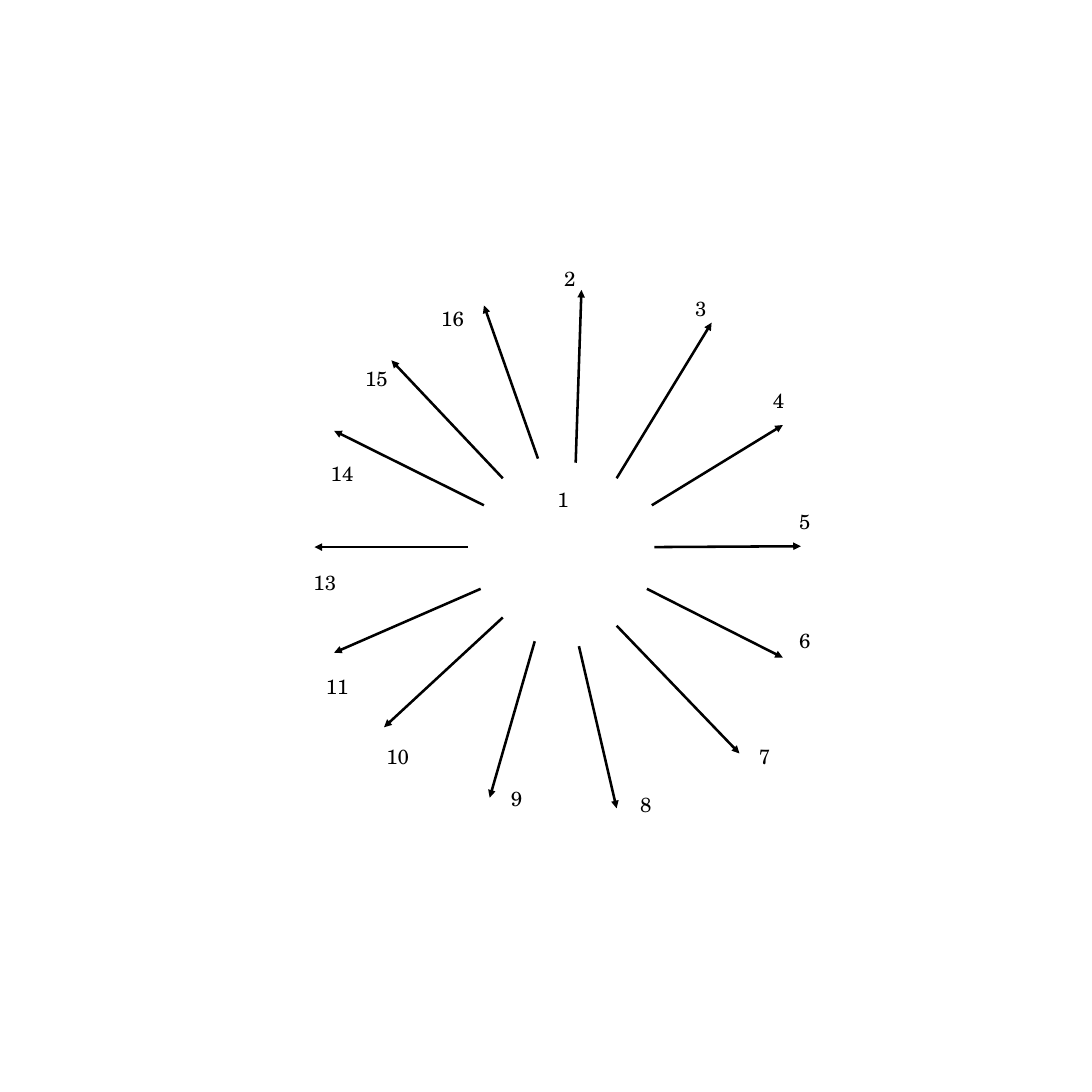
"""Build a slide of fifteen numbers around a ring of outward arrows."""
from lxml import etree
from pptx import Presentation
from pptx import util as u
from pptx.dml.color import RGBColor
from pptx.enum import shapes, text
from pptx.oxml.ns import qn

PX = u.Inches(1) // 100
SLIDE_WIDTH, SLIDE_HEIGHT = u.Emu(12193588), u.Emu(12192000)
COLOURS = {"ink": "000000", "paper": "FFFFFF"}
FONT = "TeX Gyre Schola"
LABEL_WIDTH, LABEL_HEIGHT = 117, 40

ARROWS = [
    (703, 565, 710, 354),
    (753, 584, 869, 394),
    (796, 617, 956, 519),
    (799, 668, 978, 667),
    (790, 719, 956, 803),
    (753, 764, 903, 920),
    (707, 789, 753, 987),
    (653, 783, 598, 974),
    (614, 754, 469, 888),
    (587, 719, 408, 797),
    (571, 668, 384, 668),
    (591, 617, 408, 526),
    (614, 584, 478, 440),
    (657, 560, 591, 373),
]
LABELS = {
    "2": (679, 320),
    "3": (839, 357),
    "4": (934, 469),
    "5": (966, 617),
    "6": (966, 762),
    "7": (917, 903),
    "8": (772, 962),
    "9": (614, 955),
    "10": (462, 903),
    "11": (388, 818),
    "13": (373, 691),
    "14": (394, 558),
    "15": (436, 442),
    "16": (529, 369),
    "1": (671, 590),
}

deck = Presentation()
deck.slide_width, deck.slide_height = SLIDE_WIDTH, SLIDE_HEIGHT
page = deck.slides.add_slide(deck.slide_layouts[6])
page.background.fill.solid()
page.background.fill.fore_color.rgb = RGBColor.from_string(COLOURS["paper"])

for ends in ARROWS:
    arrow = page.shapes.add_connector(
        shapes.MSO_CONNECTOR.STRAIGHT, *(end * PX for end in ends)
    )
    arrow.line.width = u.Pt(2.25)
    arrow.line.color.rgb = RGBColor.from_string(COLOURS["ink"])
    outline = arrow._element.spPr.find(qn("a:ln"))
    etree.SubElement(outline, qn("a:tailEnd"), type="triangle")
    etree.SubElement(arrow._element.spPr, qn("a:effectLst"))

for number, (left, top) in LABELS.items():
    width = 133 if number == "10" else LABEL_WIDTH
    box = page.shapes.add_textbox(left * PX, top * PX, width * PX, LABEL_HEIGHT * PX)
    box.text_frame.word_wrap = True
    box.text_frame.auto_size = text.MSO_AUTO_SIZE.SHAPE_TO_FIT_TEXT
    span = box.text_frame.paragraphs[0].add_run()
    span.text = number
    span.font.name = FONT
    span.font.size = u.Pt(18)
    span.font.color.rgb = RGBColor.from_string(COLOURS["ink"])

deck.save("out.pptx")
